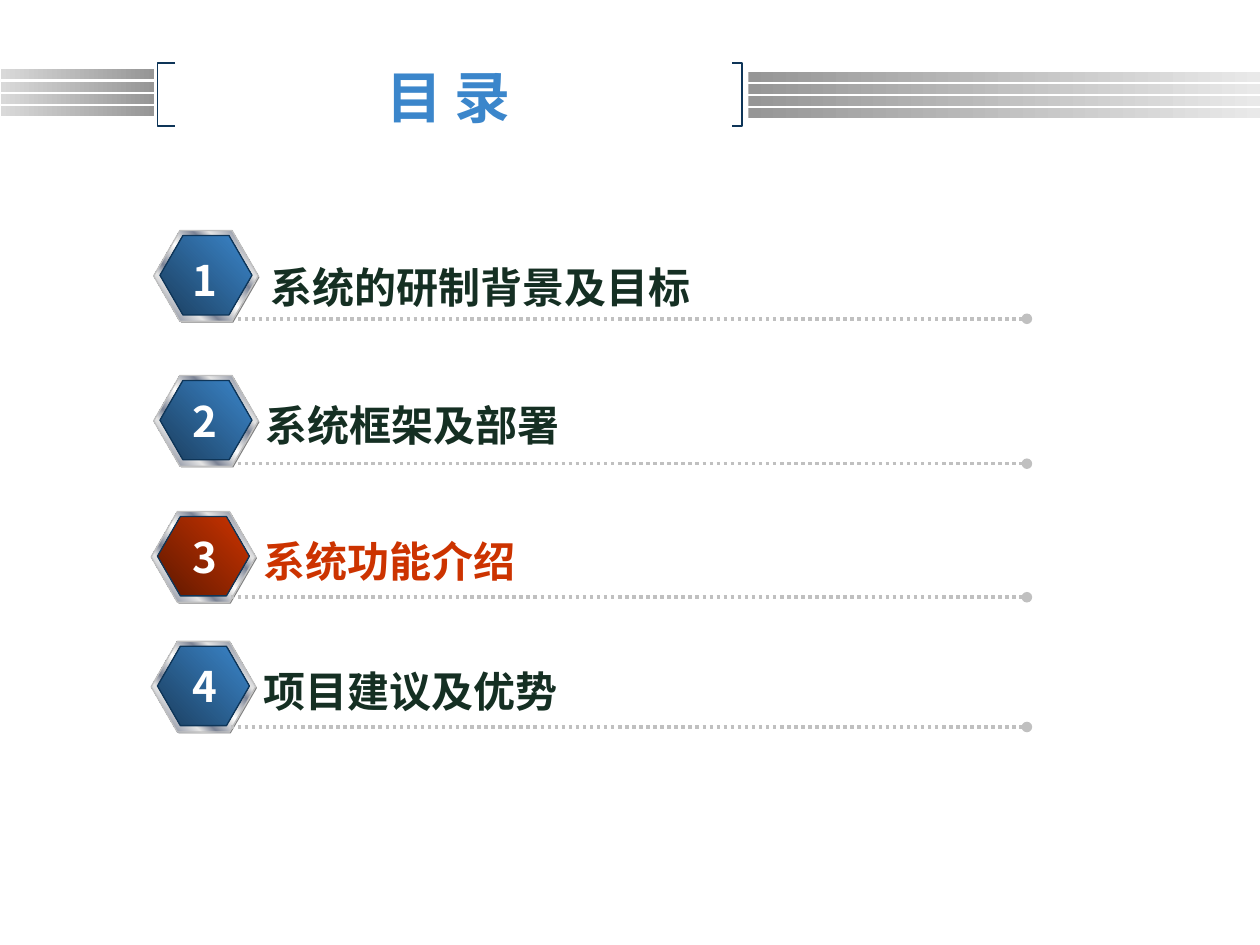
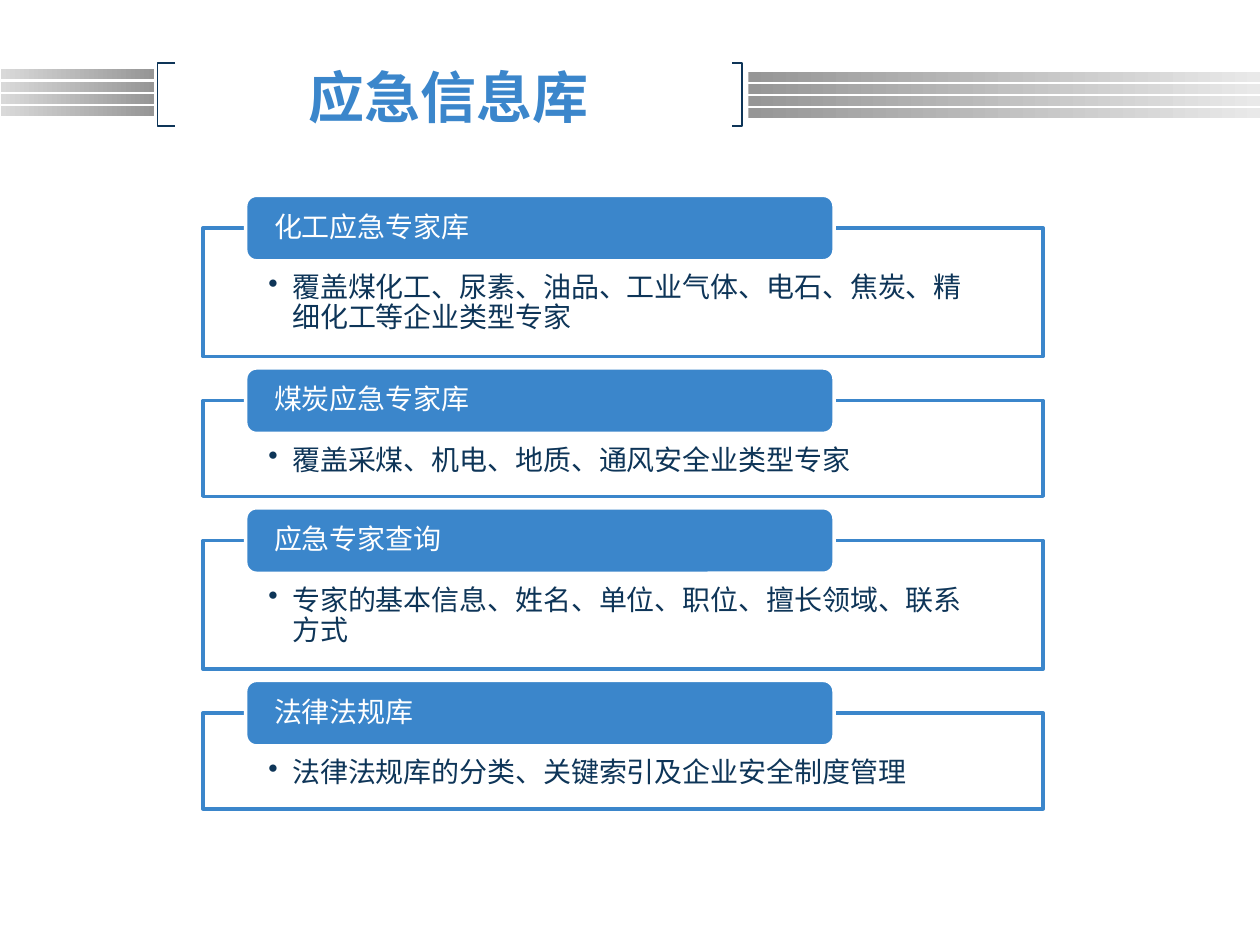
import pptx
import pptx.dml.color
import pptx.enum.dml
import pptx.enum.shapes
import pptx.enum.text
import pptx.oxml
import pptx.oxml.ns
import pptx.util

Inches = pptx.util.Inches
Pt = pptx.util.Pt
SHAPE = pptx.enum.shapes.MSO_SHAPE
ALIGN = pptx.enum.text.PP_ALIGN
ANCHOR = pptx.enum.text.MSO_ANCHOR
DRAWING = pptx.oxml.ns.nsdecls("a")

COLORS = {
    "blue": "3B86CB", "deep_blue": "1B3E5E", "navy": "0E3558",
    "red": "CC3300", "deep_red": "5E1800", "green": "152F23",
    "white": "FFFFFF", "pearl": "E6E6E6", "steel": "7D8496",
    "pale": "E9E9E9", "light": "D9D9D9", "silver": "C0C0C0",
    "gray": "969696", "shade": "808080",
}
CJK_FONT = "Noto Sans CJK SC"
BODY_FONT = "Arial"

# Gradients as (position in percent, colour name)
BAR_LEFT = [(0, "light"), (100, "gray")]
BAR_RIGHT = [(0, "gray"), (100, "pale")]
BLUE_FACE = [(0, "deep_blue"), (100, "blue")]
RED_FACE = [(0, "deep_red"), (100, "red")]
METAL = [(0, "pearl"), (8, "steel"), (26, "pearl"), (34, "steel"),
         (46, "pearl"), (50, "white"), (54, "pearl"), (66, "steel"),
         (74, "pearl"), (92, "steel"), (100, "pearl")]

# Text formats
TITLE = {"size": Pt(32), "bold": True, "name": CJK_FONT}
AGENDA = {"size": Pt(24), "bold": True, "name": CJK_FONT}
BODY = {"size": Pt(16), "bold": False, "name": BODY_FONT}


def rgb(name):
    return pptx.dml.color.RGBColor.from_string(COLORS[name])


def set_values(target, values):
    for key, value in values.items():
        setattr(target, key, value)


class Page:
    """Holds the deck style and the current slide."""

    def __init__(self, deck, title):
        self.shapes = deck.slides.add_slide(deck.slide_layouts[6]).shapes
        self.header(title)

    def shape(self, kind, at, fill, line=None, angle=0):
        """Fill is a colour name or a list of gradient stops."""
        item = self.shapes.add_shape(kind, *map(Inches, at))
        item.shadow.inherit = False
        if isinstance(fill, str):
            item.fill.solid()
            item.fill.fore_color.rgb = rgb(fill)
        else:
            self.gradient(item, fill, angle)
        self.outline(item, line)
        return item

    def gradient(self, item, stops, angle):
        item.fill.gradient()
        item.fill.gradient_angle = angle
        stop_list = item._element.spPr.find(".//" + pptx.oxml.ns.qn("a:gsLst"))
        for old in list(stop_list):
            stop_list.remove(old)
        for position, name in stops:
            stop_list.append(pptx.oxml.parse_xml(
                f'<a:gs {DRAWING} pos="{position * 1000}">'
                f'<a:srgbClr val="{COLORS[name]}"/></a:gs>'))

    def outline(self, item, line):
        if line is None:
            item.line.fill.background()
        else:
            name, width = line
            item.line.color.rgb = rgb(name)
            item.line.width = Pt(width)

    def fill_text(self, item, text, style, color, insets=None, bullet=False,
                  spacing=None, align=ALIGN.LEFT, anchor=ANCHOR.TOP, wrap=True):
        frame = item.text_frame
        set_values(frame, {"word_wrap": wrap, "vertical_anchor": anchor})
        if insets:
            sides = ("margin_left", "margin_top", "margin_right", "margin_bottom")
            set_values(frame, dict(zip(sides, map(Inches, insets))))
        para = frame.paragraphs[0]
        if bullet:
            properties = para._p.get_or_add_pPr()
            properties.set("marL", str(Inches(0.19)))
            properties.set("indent", str(Inches(-0.19)))
            properties.append(pptx.oxml.parse_xml(f'<a:buChar {DRAWING} char="•"/>'))
        set_values(para, {"alignment": align, "line_spacing": spacing})
        span = para.add_run()
        span.text = text
        set_values(span.font, style)
        span.font.color.rgb = rgb(color)
        span._r.get_or_add_rPr().append(
            pptx.oxml.parse_xml(f'<a:ea {DRAWING} typeface="{CJK_FONT}"/>'))

    def text(self, at, text, style, color, **options):
        box = self.shapes.add_textbox(*map(Inches, at))
        self.fill_text(box, text, style, color, **options)

    def bracket(self, tip, spine):
        corners = [(tip, 0.5), (spine, 0.5), (spine, 1), (tip, 1)]
        points = [(Inches(x), Inches(y)) for x, y in corners]
        builder = self.shapes.build_freeform(*points[0], scale=1.0)
        builder.add_line_segments(points[1:], close=False)
        item = builder.convert_to_shape()
        item.shadow.inherit = False
        item.fill.background()
        self.outline(item, ("navy", 0.75))

    def header(self, title):
        for left, top, width, stops in ((0.01, 0.55, 1.21, BAR_LEFT),
                                        (5.94, 0.57, 4.06, BAR_RIGHT)):
            for index in range(4):
                self.shape(SHAPE.RECTANGLE,
                           (left, top + index * 0.29 / 3, width, 0.08), stops)
        self.bracket(1.39, 1.25)
        self.bracket(5.81, 5.89)
        self.text((1.31, 0.5, 4.5, 0.53), title, TITLE, "blue",
                  align=ALIGN.CENTER, anchor=ANCHOR.MIDDLE)

    def dotted_rule(self, y):
        rule = self.shapes.add_connector(
            pptx.enum.shapes.MSO_CONNECTOR.STRAIGHT,
            Inches(1.83), Inches(y), Inches(8.15), Inches(y))
        self.outline(rule, ("silver", 2))
        rule.line.dash_style = pptx.enum.dml.MSO_LINE.ROUND_DOT
        rule.line._get_or_add_ln().append(
            pptx.oxml.parse_xml(f'<a:tailEnd {DRAWING} type="oval"/>'))
        rule._element.spPr.append(pptx.oxml.parse_xml(f"<a:effectLst {DRAWING}/>"))

    def badge(self, left, top, face):
        layers = ((0.01, 0.01, 0.83, 0.72, "shade", None),
                  (0, 0, 0.83, 0.72, METAL, ("silver", 0.75)),
                  (0.05, 0.04, 0.73, 0.63, face, ("navy", 0.75)))
        for dx, dy, width, height, fill, line in layers:
            hexagon = self.shape(SHAPE.HEXAGON, (left + dx, top + dy, width, height),
                                 fill, line, angle=45)
            hexagon.adjustments[0] = 0.289

    def card(self, top, height, heading, detail):
        body = self.shape(SHAPE.RECTANGLE, (1.61, top, 6.67, height),
                          "white", ("blue", 2))
        self.fill_text(body, detail, BODY, "navy", insets=(0.52, 0.36, 0.52, 0.12),
                       bullet=True, spacing=0.9)
        tab = self.shape(SHAPE.ROUNDED_RECTANGLE, (1.95, top - 0.26, 4.67, 0.52),
                         "blue", ("white", 2))
        self.fill_text(tab, heading, BODY, "white", insets=(0.2, 0, 0.2, 0),
                       spacing=0.9, anchor=ANCHOR.MIDDLE)


def agenda_slide(deck):
    page = Page(deck, "目 录")
    # Badge left and top, digit top, label left and top, rule height, label
    topics = [
        (1.22, 1.83, 1.97, 2.05, 2.03, 2.53, "系统的研制背景及目标"),
        (1.22, 2.98, 3.09, 2.01, 3.12, 3.68, "系统框架及部署"),
        (1.2, 4.06, 4.17, 1.99, 4.2, 4.74, "系统功能介绍"),
        (1.2, 5.09, 5.19, 1.99, 5.23, 5.77, "项目建议及优势"),
    ]
    current = 3
    for number, topic in enumerate(topics, 1):
        left, top, digit_top, label_left, label_top, rule_y, label = topic
        active = number == current
        rule_behind = number < current
        if rule_behind:
            page.dotted_rule(rule_y)
        page.badge(left, top, RED_FACE if active else BLUE_FACE)
        page.text((1.43, digit_top, 0.41, 0.5), str(number), AGENDA, "white",
                  wrap=False)
        page.text((label_left, label_top, 4, 0.5), label, AGENDA,
                  "red" if active else "green")
        if not rule_behind:
            page.dotted_rule(rule_y)


def library_slide(deck):
    page = Page(deck, "应急信息库")
    libraries = [
        (1.02, "化工应急专家库",
         "覆盖煤化工、尿素、油品、工业气体、电石、焦炭、精细化工等企业类型专家"),
        (0.76, "煤炭应急专家库", "覆盖采煤、机电、地质、通风安全业类型专家"),
        (1.02, "应急专家查询", "专家的基本信息、姓名、单位、职位、擅长领域、联系方式"),
        (0.76, "法律法规库", "法律法规库的分类、关键索引及企业安全制度管理"),
    ]
    top = 1.81
    for height, heading, detail in libraries:
        page.card(top, height, heading, detail)
        top += height + 0.35


def main():
    deck = pptx.Presentation()
    set_values(deck, {"slide_width": Inches(10), "slide_height": Inches(7.5)})
    agenda_slide(deck)
    library_slide(deck)
    deck.save("out.pptx")


if __name__ == "__main__":
    main()
